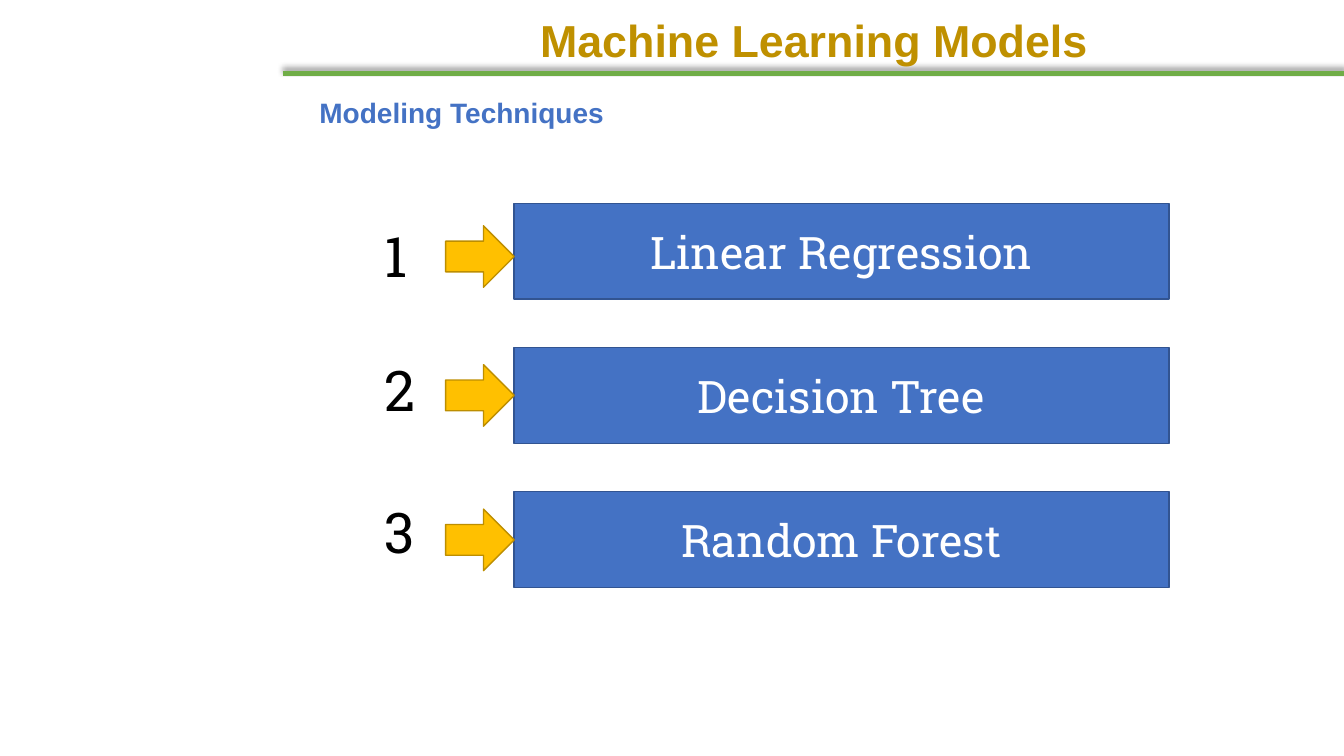
from lxml.etree import SubElement
from pptx import Presentation
from pptx.dml.color import RGBColor
from pptx.enum.shapes import MSO_CONNECTOR, MSO_SHAPE
from pptx.enum.text import MSO_ANCHOR, PP_ALIGN
from pptx.oxml.ns import qn
from pptx.util import Cm, Pt

BLACK = RGBColor(0x00, 0x00, 0x00)
WHITE = RGBColor(0xFF, 0xFF, 0xFF)
GOLD = RGBColor(0xBF, 0x90, 0x00)
GREEN = RGBColor(0x70, 0xAD, 0x47)
BLUE = RGBColor(0x44, 0x72, 0xC4)
BLUE_EDGE = RGBColor(0x32, 0x54, 0x91)
AMBER = RGBColor(0xFF, 0xC0, 0x00)
AMBER_EDGE = RGBColor(0xBD, 0x8E, 0x00)

BAR_TOP, BAR_PITCH = 5.13, 3.63
# Model name, top of its number, top of its arrow (cm)
MODELS = [
    ("Linear Regression", 5.46, 5.69),
    ("Decision Tree", 8.84, 9.19),
    ("Random Forest", 12.4, 12.83),
]


class ModelPage:
    heading_font = "Arial"
    body_font = "Roboto Slab"

    def __init__(self, deck):
        self.page = deck.slides.add_slide(deck.slide_layouts[6])

    def fill_text(self, frame, words, size, font, color, bold=False):
        frame.word_wrap = True
        para = frame.paragraphs[0]
        para.text = words
        para.font.size = Pt(size)
        para.font.name = font
        para.font.color.rgb = color
        para.font.bold = bold
        return para

    def text(self, left, top, width, height, words, size, font, color, bold=False):
        box = self.page.shapes.add_textbox(Cm(left), Cm(top), Cm(width), Cm(height))
        return self.fill_text(box.text_frame, words, size, font, color, bold)

    def shape(self, kind, left, top, width, height, fill, edge):
        shape = self.page.shapes.add_shape(
            kind, Cm(left), Cm(top), Cm(width), Cm(height))
        shape.shadow.inherit = False
        shape.fill.solid()
        shape.fill.fore_color.rgb = fill
        shape.line.color.rgb = edge
        shape.line.width = Pt(1)
        return shape

    def bar(self, top, words):
        bar = self.shape(MSO_SHAPE.RECTANGLE, 12.95, top, 16.51, 2.41, BLUE, BLUE_EDGE)
        bar.text_frame.vertical_anchor = MSO_ANCHOR.MIDDLE
        para = self.fill_text(bar.text_frame, words, 32, self.body_font, WHITE)
        para.alignment = PP_ALIGN.CENTER

    def arrow(self, top):
        self.shape(MSO_SHAPE.RIGHT_ARROW, 11.23, top, 1.73, 1.55, AMBER, AMBER_EDGE)

    def number(self, top, value):
        self.text(9.45, top, 1.4, 1.96, str(value), 40, self.body_font, BLACK)

    def rule(self, left, right, y):
        """Draw the green line with a soft shadow cast upwards."""
        line = self.page.shapes.add_connector(
            MSO_CONNECTOR.STRAIGHT, Cm(left), Cm(y), Cm(right), Cm(y))
        line.line.color.rgb = GREEN
        line.line.width = Pt(3)
        effects = SubElement(line._element.spPr, qn("a:effectLst"))
        shadow = SubElement(effects, qn("a:outerShdw"), blurRad=str(Pt(4)),
                            dist=str(Pt(3)), dir=str(270 * 60000), rotWithShape="0")
        color = SubElement(shadow, qn("a:srgbClr"), val=str(BLACK))
        SubElement(color, qn("a:alpha"), val="40000")


def main():
    deck = Presentation()
    deck.slide_width, deck.slide_height = Cm(33.87), Cm(19.05)
    page = ModelPage(deck)

    page.rule(7.14, 33.87, 1.85)
    title = page.text(13.36, 0.36, 15.62, 1.42, "Machine Learning Models",
                      32, page.heading_font, GOLD, bold=True)
    title.line_spacing = 0.9
    page.text(7.8, 2.29, 8.61, 1.12, "Modeling Techniques",
              20, page.heading_font, BLUE, bold=True)

    for index, (name, number_top, arrow_top) in enumerate(MODELS):
        page.bar(BAR_TOP + index * BAR_PITCH, name)
        page.arrow(arrow_top)
        page.number(number_top, index + 1)

    deck.save("out.pptx")


if __name__ == "__main__":
    main()
